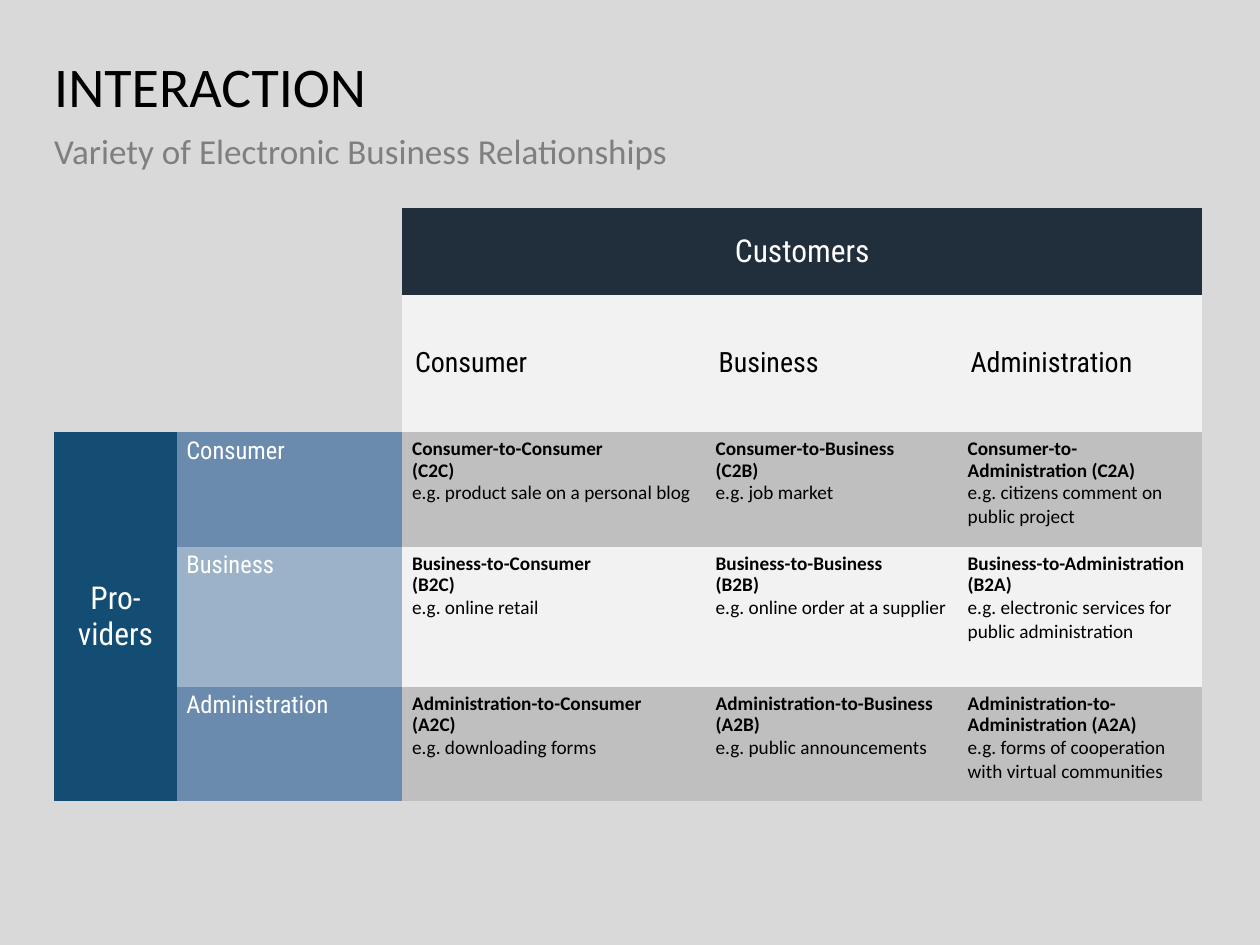
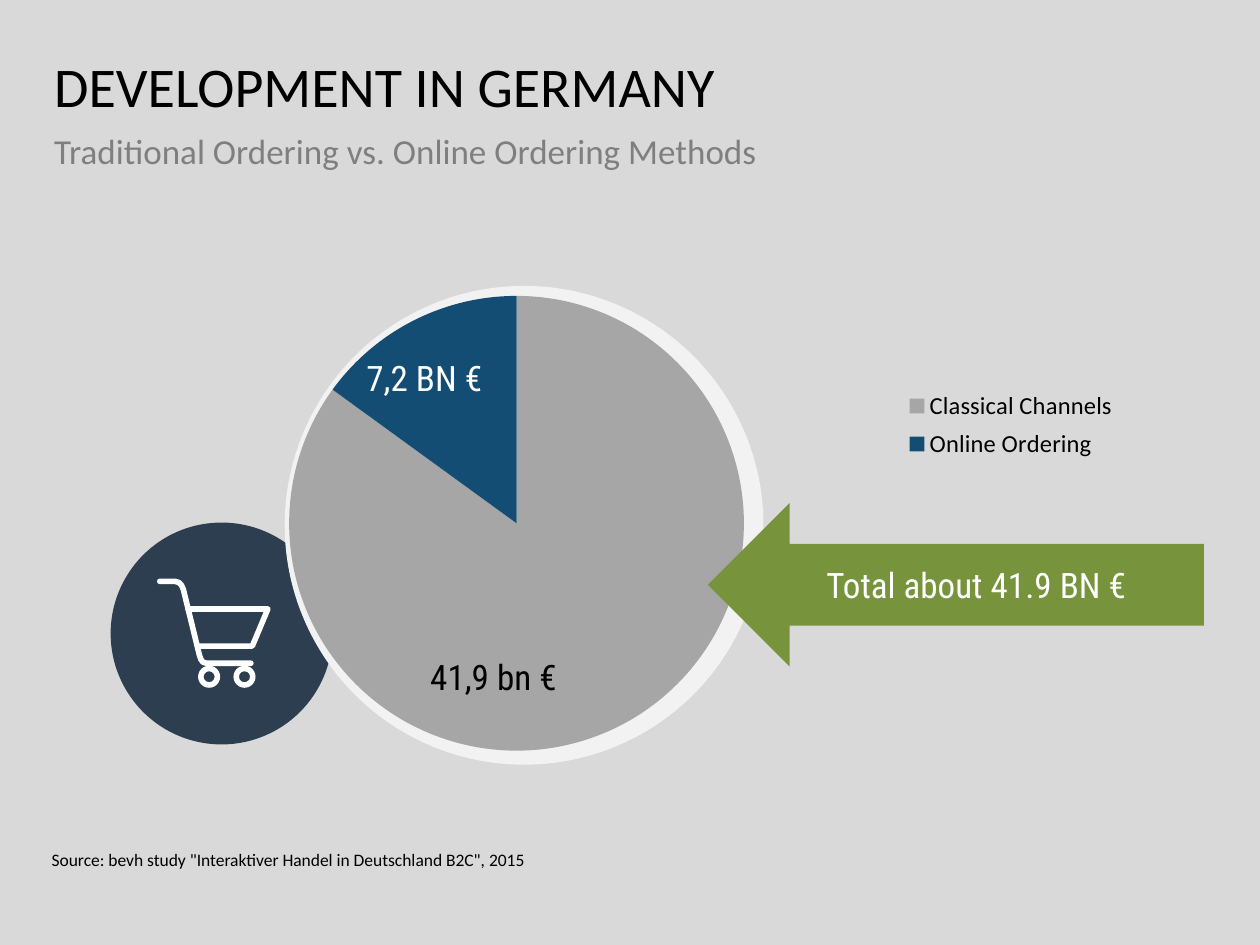
from dataclasses import dataclass

import lxml.etree
import pptx
import pptx.chart.data
import pptx.dml.color
import pptx.enum.chart
import pptx.enum.shapes
import pptx.enum.text
import pptx.oxml.ns
import pptx.slide
import pptx.util

Pt = pptx.util.Pt
qn = pptx.oxml.ns.qn
SHAPE = pptx.enum.shapes.MSO_SHAPE
ALIGN = pptx.enum.text.PP_ALIGN
ANCHOR = pptx.enum.text.MSO_ANCHOR

BODY = "Calibri"
ACCENT = "Roboto Condensed"
LEFT = 31
NO_GRID_STYLE = "{2D5ABB26-0587-4C30-8999-92F81FD0307C}"
COLORS = {
    "background": "D9D9D9", "black": "000000", "white": "FFFFFF", "subtitle": "7F7F7F",
    "customers": "212E3C", "providers": "144D73", "label": "6A8BAD", "label_light": "9BB2C8",
    "light": "F2F2F2", "band": "BFBFBF", "classical": "A6A6A6", "online": "144D73",
    "cart": "2C3E50", "arrow": "77933C",
}


@dataclass(frozen=True)
class Style:
    size: float
    font: str = BODY
    color: str = "black"
    bold: bool = False
    align: ALIGN = ALIGN.LEFT
    spacing: float = 0.9
    after: float = 0


@dataclass(frozen=True)
class Box:
    x: float
    y: float
    w: float
    h: float

    def emu(self) -> tuple:
        return Pt(self.x), Pt(self.y), Pt(self.w), Pt(self.h)


@dataclass(frozen=True)
class Relation:
    name: str
    example: str


@dataclass(frozen=True)
class Provider:
    name: str
    label_fill: str
    fill: str
    relations: tuple


TITLE = Style(32)
SUBTITLE = Style(20, color="subtitle", after=10)
SOURCE = Style(10, after=10)
GROUP = Style(18, ACCENT, "white", align=ALIGN.CENTER, spacing=1)
CUSTOMER = Style(16, ACCENT)
PROVIDER = Style(14, ACCENT, "white")
RELATION = Style(11, bold=True)
EXAMPLE = Style(11, spacing=1)
VALUE = Style(20, ACCENT, align=ALIGN.CENTER, spacing=1)
VALUE_WHITE = Style(20, ACCENT, "white", align=ALIGN.CENTER, spacing=1)

CUSTOMERS = ("Consumer", "Business", "Administration")
PROVIDERS = (
    Provider("Consumer", "label", "band", (
        Relation("Consumer-to-Consumer\n(C2C)", "e.g. product sale on a personal blog"),
        Relation("Consumer-to-Business\n(C2B)", "e.g. job market"),
        Relation("Consumer-to-Administration (C2A)", "e.g. citizens comment on public project"),
    )),
    Provider("Business", "label_light", "light", (
        Relation("Business-to-Consumer\n(B2C)", "e.g. online retail"),
        Relation("Business-to-Business\n(B2B)", "e.g. online order at a supplier"),
        Relation("Business-to-Administration\n(B2A)",
                 "e.g. electronic services for public administration"),
    )),
    Provider("Administration", "label", "band", (
        Relation("Administration-to-Consumer\n(A2C)", "e.g. downloading forms"),
        Relation("Administration-to-Business\n(A2B)", "e.g. public announcements"),
        Relation("Administration-to-Administration (A2A)",
                 "e.g. forms of cooperation with virtual communities"),
    )),
)
COLUMN_WIDTHS = (70, 129, 173.5, 144, 139.5)
ROW_HEIGHTS = (49.5, 78.5, 65.5, 80, 65.5)


def rgb(name: str) -> pptx.dml.color.RGBColor:
    return pptx.dml.color.RGBColor.from_string(COLORS[name])


def set_font(font, style: Style) -> None:
    font.size, font.name, font.bold = Pt(style.size), style.font, style.bold
    font.color.rgb = rgb(style.color)


def write(tf, *paragraphs: tuple) -> None:
    """Fill a text frame with (text, style) paragraphs."""
    for i, (text, style) in enumerate(paragraphs):
        p = tf.add_paragraph() if i else tf.paragraphs[0]
        p.alignment, p.line_spacing = style.align, style.spacing
        p.space_after = Pt(style.after)
        for j, line in enumerate(text.split("\n")):
            if j:
                p.add_line_break()
            r = p.add_run()
            r.text = line
            set_font(r.font, style)


def add_text(s: pptx.slide.Slide, box: Box, text: str, style: Style) -> None:
    tf = s.shapes.add_textbox(*box.emu()).text_frame
    tf.word_wrap = True
    tf.margin_left = tf.margin_right = tf.margin_top = tf.margin_bottom = 0
    write(tf, (text, style))


def add_shape(s: pptx.slide.Slide, kind: SHAPE, box: Box, fill: str):
    sp = s.shapes.add_shape(kind, *box.emu())
    sp.shadow.inherit = False
    sp.fill.solid()
    sp.fill.fore_color.rgb = rgb(fill)
    sp.line.fill.background()
    return sp


def add_slide(prs, title: str, subtitle: str) -> pptx.slide.Slide:
    s = prs.slides.add_slide(prs.slide_layouts[6])
    s.background.fill.solid()
    s.background.fill.fore_color.rgb = rgb("background")
    add_text(s, Box(LEFT, 34, 657, 40), title, TITLE)
    add_text(s, Box(LEFT, 76.5, 657, 42), subtitle, SUBTITLE)
    return s


# Relationship table
def fill_cell(cell, fill: str, *paragraphs: tuple, middle: bool = False, inset: float = 5.5) -> None:
    cell.fill.solid()
    cell.fill.fore_color.rgb = rgb(fill)
    cell.vertical_anchor = ANCHOR.MIDDLE if middle else ANCHOR.TOP
    cell.margin_left = cell.margin_right = Pt(inset)
    cell.margin_top = cell.margin_bottom = Pt(3.6)
    write(cell.text_frame, *paragraphs)


def add_relationships(s: pptx.slide.Slide) -> None:
    box = Box(LEFT, 119, sum(COLUMN_WIDTHS), sum(ROW_HEIGHTS))
    frame = s.shapes.add_table(len(ROW_HEIGHTS), len(COLUMN_WIDTHS), *box.emu())
    table = frame.table
    table.first_row = table.horz_banding = False
    table._tbl.tblPr.find(qn("a:tableStyleId")).text = NO_GRID_STYLE
    for column, width in zip(table.columns, COLUMN_WIDTHS):
        column.width = Pt(width)
    for row, height in zip(table.rows, ROW_HEIGHTS):
        row.height = Pt(height)
    for cell in table.iter_cells():
        cell.fill.background()

    table.cell(0, 2).merge(table.cell(0, 4))
    table.cell(2, 0).merge(table.cell(4, 0))
    fill_cell(table.cell(0, 2), "customers", ("Customers", GROUP), middle=True)
    fill_cell(table.cell(2, 0), "providers", ("Pro-viders", GROUP), middle=True)
    for col, name in enumerate(CUSTOMERS, start=2):
        fill_cell(table.cell(1, col), "light", (name, CUSTOMER), middle=True, inset=7.2)
    for row, provider in enumerate(PROVIDERS, start=2):
        fill_cell(table.cell(row, 1), provider.label_fill, (provider.name, PROVIDER))
        for col, rel in enumerate(provider.relations, start=2):
            fill_cell(table.cell(row, col), provider.fill,
                      (rel.name, RELATION), (rel.example, EXAMPLE))


# Shopping cart
def add_stroke(s: pptx.slide.Slide, points: tuple) -> None:
    start, *rest = [(Pt(x), Pt(y)) for x, y in points]
    builder = s.shapes.build_freeform(*start)
    builder.add_line_segments(rest, close=False)
    sp = builder.convert_to_shape()
    sp.shadow.inherit = False
    sp.fill.background()
    sp.line.color.rgb = rgb("white")
    sp.line.width = Pt(3.2)
    ln = sp.line._get_or_add_ln()
    ln.set("cap", "rnd")
    lxml.etree.SubElement(ln, qn("a:round"))


def add_cart(s: pptx.slide.Slide) -> None:
    add_shape(s, SHAPE.OVAL, Box(63.2, 298.6, 126.8, 126.8), "cart")
    add_stroke(s, ((91.3, 332.2), (100, 332.2), (102.3, 332.9), (103.8, 334.5), (104.8, 336.8),
                   (114, 374.4), (114.8, 376.8), (116, 378.4), (118, 379), (143.4, 379)))
    add_stroke(s, ((107.4, 348), (153.1, 348), (144.2, 369.2), (113.2, 369.2)))
    for x in (113.2, 133.4):
        wheel = add_shape(s, SHAPE.DONUT, Box(x, 380.4, 12.6, 12.6), "white")
        wheel.adjustments[0] = 0.25


# Order value chart
def set_layout(parent, index: int, box: Box, inner: bool = False) -> None:
    """Place a chart part by fractions of the chart area."""
    for old in parent.findall(qn("c:layout")):
        parent.remove(old)
    layout = lxml.etree.Element(qn("c:layout"))
    manual = lxml.etree.SubElement(layout, qn("c:manualLayout"))
    values = {"layoutTarget": "inner"} if inner else {}
    values |= {"xMode": "edge", "yMode": "edge", "x": box.x, "y": box.y, "w": box.w, "h": box.h}
    for tag, value in values.items():
        lxml.etree.SubElement(manual, qn("c:" + tag)).set("val", str(value))
    parent.insert(index, layout)


def add_order_pie(s: pptx.slide.Slide) -> None:
    data = pptx.chart.data.CategoryChartData()
    data.categories = ("Classical Channels", "Online Ordering")
    data.add_series("Series 1", (85, 15))
    box = Box(80.5, 160, 565, 281)
    chart = s.shapes.add_chart(pptx.enum.chart.XL_CHART_TYPE.PIE, *box.emu(), data).chart
    set_font(chart.font, Style(18))
    chart.has_title = False
    chart.has_legend = True
    chart.legend.position = pptx.enum.chart.XL_LEGEND_POSITION.RIGHT
    chart.legend.include_in_layout = False
    set_font(chart.legend.font, Style(14))
    plot = chart.plots[0]
    plot.vary_by_categories = True
    for i, color in enumerate(("classical", "online")):
        fmt = plot.series[0].points[i].format
        fmt.fill.solid()
        fmt.fill.fore_color.rgb = rgb(color)
        fmt.line.fill.background()
    set_layout(chart._chartSpace.chart.plotArea, 0, Box(0.15, 0.03, 0.46, 0.93), inner=True)
    set_layout(chart.legend._element, 1, Box(0.77, 0.21, 0.22, 0.17))


def add_order_values(s: pptx.slide.Slide) -> None:
    add_text(s, Box(201, 204, 83, 25), "7,2 BN €", VALUE_WHITE)
    add_text(s, Box(235.5, 374.5, 93, 25), "41,9 bn €", VALUE)
    arrow = add_shape(s, SHAPE.LEFT_ARROW, Box(404.5, 287.5, 283.5, 93.5), "arrow")
    arrow.text_frame.word_wrap = True
    arrow.text_frame.vertical_anchor = ANCHOR.MIDDLE
    write(arrow.text_frame, ("Total about 41.9 BN €", VALUE_WHITE))


def main() -> None:
    prs = pptx.Presentation()
    prs.slide_width, prs.slide_height = Pt(720), Pt(540)

    s = add_slide(prs, "INTERACTION", "Variety of Electronic Business Relationships")
    add_relationships(s)

    s = add_slide(prs, "DEVELOPMENT IN GERMANY",
                  "Traditional Ordering vs. Online Ordering Methods")
    add_cart(s)
    add_shape(s, SHAPE.OVAL, Box(162.7, 163.4, 273.6, 273.6), "light")
    add_order_pie(s)
    add_order_values(s)
    add_text(s, Box(29.5, 486.5, 306, 16.5),
             'Source: bevh study "Interaktiver Handel in Deutschland B2C", 2015', SOURCE)

    prs.save("out.pptx")


if __name__ == "__main__":
    main()
